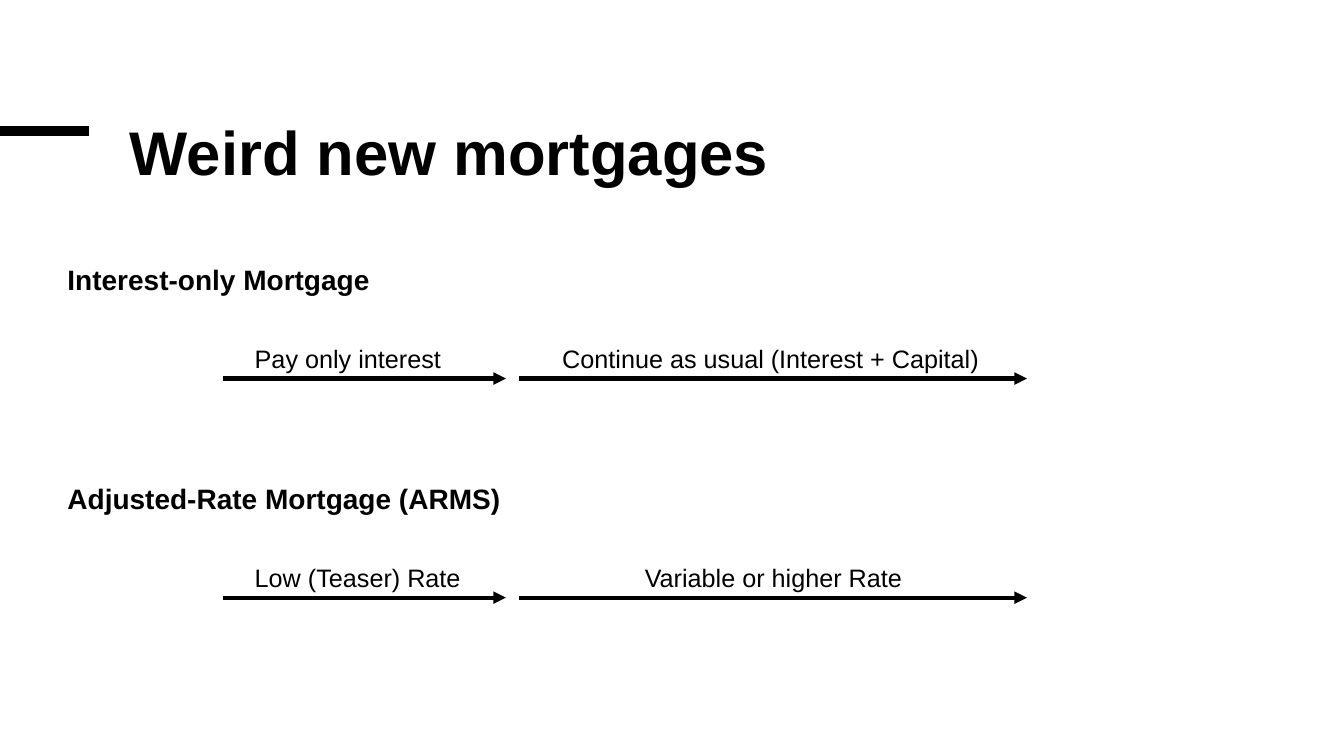
from lxml.etree import SubElement
from pptx import Presentation
from pptx.dml.color import RGBColor
from pptx.enum.shapes import MSO_CONNECTOR
from pptx.enum.text import MSO_ANCHOR, MSO_AUTO_SIZE, PP_ALIGN
from pptx.oxml.ns import qn
from pptx.util import Cm, Pt

TITLE = "Weird new mortgages"
# Heading, then each phase as (label, label left, label width)
MORTGAGES = [
    ("Interest-only Mortgage",
     [("Pay only interest", 6.17, 5.46),
      ("Continue as usual (Interest + Capital)", 13.92, 11.56)]),
    ("Adjusted-Rate Mortgage (ARMS)",
     [("Low (Teaser) Rate", 6.17, 6.05),
      ("Variable or higher Rate", 16, 7.37)]),
]
PHASE_SPANS = [(5.61, 12.75), (13.08, 25.88)]
BLACK = "000000"
FIRST_TOP, ROW_PITCH = 6.63, 5.52
ARROW_DROP, LABEL_RISE = 2.91, 1.02


def color(hex_code):
    return RGBColor.from_string(hex_code)


def format_text(box, text, size, bold=False, line_spacing=None):
    frame = box.text_frame
    frame.vertical_anchor = MSO_ANCHOR.TOP
    frame.text = text
    paragraph = frame.paragraphs[0]
    paragraph.alignment = PP_ALIGN.LEFT
    paragraph.line_spacing = line_spacing
    font = paragraph.font
    font.name, font.size, font.bold = "Arial", Pt(size), bold
    font.color.rgb = color(BLACK)
    return frame


def add_line(slide, start, end, y, width, arrow=False):
    line = slide.shapes.add_connector(
        MSO_CONNECTOR.STRAIGHT, Cm(start), Cm(y), Cm(end), Cm(y))
    line.line.color.rgb = color(BLACK)
    line.line.width = Pt(width)
    if arrow:
        SubElement(line.line._get_or_add_ln(), qn("a:tailEnd"), type="triangle")
    SubElement(line._element.spPr, qn("a:effectLst"))


def add_heading(slide, text, top):
    box = slide.shapes.add_textbox(Cm(1.45), Cm(top), Cm(27.56), Cm(1.7))
    format_text(box, text, 20, bold=True, line_spacing=0.85).word_wrap = True


def add_label(slide, text, left, top, width):
    box = slide.shapes.add_textbox(Cm(left), Cm(top), Cm(width), Cm(1.02))
    frame = format_text(box, text, 18)
    frame.word_wrap = False
    frame.auto_size = MSO_AUTO_SIZE.SHAPE_TO_FIT_TEXT


def main():
    presentation = Presentation()
    presentation.slide_width, presentation.slide_height = Cm(33.87), Cm(19.05)
    slide = presentation.slides.add_slide(presentation.slide_layouts[5])

    title = slide.shapes.title
    title.left, title.top = Cm(3.02), Cm(3.02)
    title.width, title.height = Cm(27.56), Cm(3.61)
    frame = format_text(title, TITLE, 44, bold=True, line_spacing=0.85)
    frame.auto_size = MSO_AUTO_SIZE.NONE
    add_line(slide, 0, 2.24, 3.3, 6.75)

    for row, (heading, phases) in enumerate(MORTGAGES):
        top = FIRST_TOP + row * ROW_PITCH
        arrow_y = top + ARROW_DROP
        add_heading(slide, heading, top)
        for (start, end), (label, left, width) in zip(PHASE_SPANS, phases):
            add_line(slide, start, end, arrow_y, 3, arrow=True)
            add_label(slide, label, left, arrow_y - LABEL_RISE, width)

    presentation.save("out.pptx")


if __name__ == "__main__":
    main()
